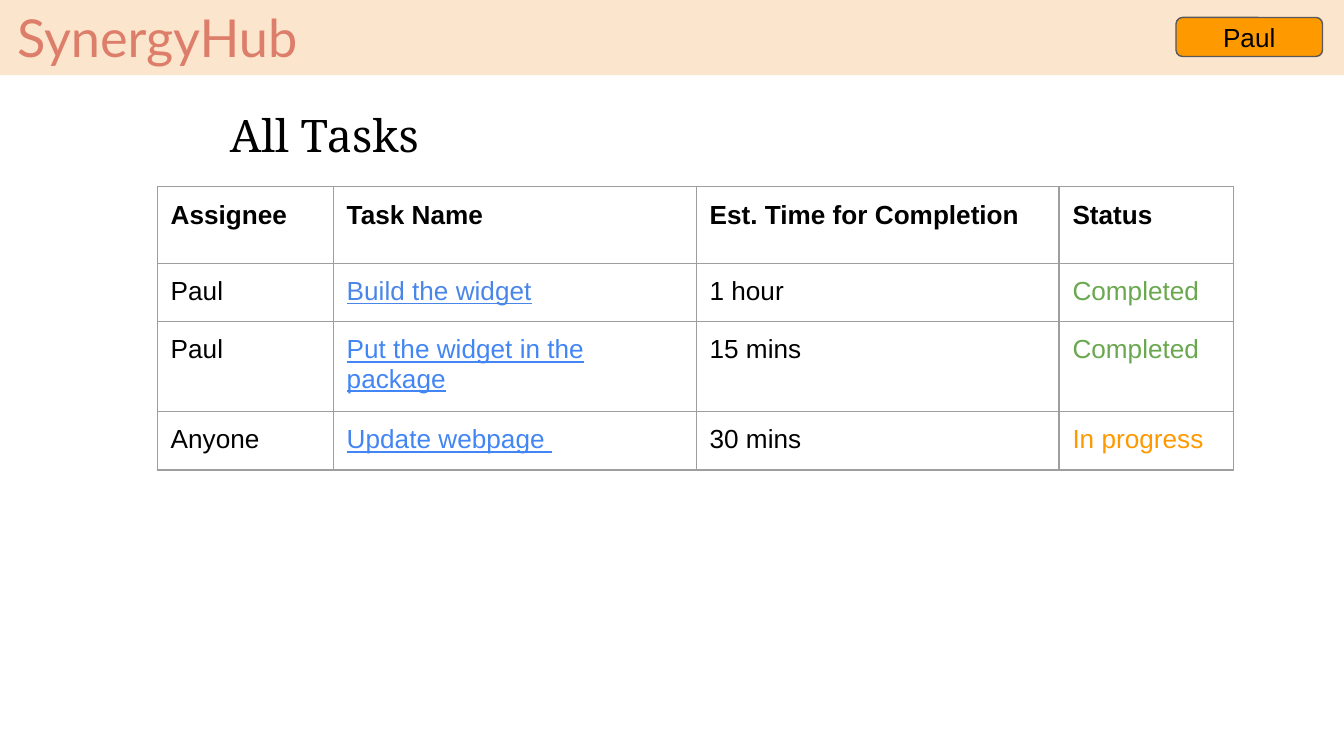
"""Build the All Tasks slide with a banner, a user button and a task table."""
from lxml.etree import SubElement
from pptx import Presentation
from pptx.dml.color import RGBColor
from pptx.enum.shapes import MSO_SHAPE
from pptx.enum.text import MSO_ANCHOR, PP_ALIGN
from pptx.oxml import parse_xml
from pptx.oxml.ns import nsdecls, qn
from pptx.util import Inches, Pt

BRAND, USER, TITLE = "SynergyHub", "Paul", "All Tasks"
HEADS = ["Assignee", "Task Name", "Est. Time for Completion", "Status"]
TASKS = [
    ("Paul", "Build the widget", "1 hour", "Completed"),
    ("Paul", "Put the widget in the package", "15 mins", "Completed"),
    ("Anyone", "Update webpage ", "30 mins", "In progress"),
]
COLS = [1.31, 2.7, 2.7, 1.3]
ROWS = [0.57, 0.43, 0.67, 0.43]

THEME = {
    "sans": "Arial", "logo": "Lato", "serif": "Noto Serif",
    "body": 14, "head": 24, "brand": 28,
    "ink": "000000", "banner": "FCE5CD", "coral": "DD7E6B",
    "button": "FF9900", "edge": "595959", "grid": "9E9E9E",
    "links": ["4A86E8", "4285F4", "4285F4"],
    "status": {"Completed": "6AA84F", "In progress": "FF9900"},
}


def write(frame, text, font="sans", size="body", color=THEME["ink"], bold=False, under=False):
    """Put one styled line of text in a frame."""
    frame.text = text
    face = frame.paragraphs[0].runs[0].font
    face.name, face.size = THEME[font], Pt(THEME[size])
    face.bold, face.underline = bold, under
    face.color.rgb = RGBColor.from_string(color)


def pad(item):
    """Give a frame or cell equal insets."""
    item.margin_left = item.margin_right = Inches(0.1)
    item.margin_top = item.margin_bottom = Inches(0.1)


def add_box(slide, kind, place, fill):
    """Add a filled shape without a line or shadow."""
    box = slide.shapes.add_shape(kind, *map(Inches, place))
    box.shadow.inherit = False
    box.fill.solid()
    box.fill.fore_color.rgb = RGBColor.from_string(fill)
    box.line.fill.background()
    return box


def add_edges(cell):
    """Draw thin lines on all four sides of a cell."""
    props = cell._tc.get_or_add_tcPr()
    for spot, side in enumerate(("lnL", "lnR", "lnT", "lnB")):
        line = parse_xml(f'<a:{side} {nsdecls("a")} w="{Pt(0.75)}"/>')
        fill = SubElement(line, qn("a:solidFill"))
        SubElement(fill, qn("a:srgbClr"), val=THEME["grid"])
        props.insert(spot, line)


def add_banner(slide):
    """Add the top band with the brand name and the user button."""
    add_box(slide, MSO_SHAPE.RECTANGLE, (0, 0, 10, 0.56), THEME["banner"])
    brand = slide.shapes.add_textbox(*map(Inches, (0.03, -0.06, 5.03, 0.67)))
    brand.text_frame.word_wrap = True
    pad(brand.text_frame)
    write(brand.text_frame, BRAND, "logo", "brand", THEME["coral"])

    user = add_box(slide, MSO_SHAPE.ROUNDED_RECTANGLE, (8.75, 0.13, 1.09, 0.29), THEME["button"])
    user.line.color.rgb = RGBColor.from_string(THEME["edge"])
    user.line.width = Pt(0.75)
    pad(user.text_frame)
    write(user.text_frame, USER)
    user.text_frame.vertical_anchor = MSO_ANCHOR.MIDDLE
    user.text_frame.paragraphs[0].alignment = PP_ALIGN.CENTER


def add_title(slide):
    """Place the slide title above the table."""
    title = slide.shapes.title
    title.left, title.top, title.width, title.height = map(Inches, (1.61, 0.7, 1.69, 0.61))
    frame = title.text_frame
    pad(frame)
    write(frame, TITLE, "serif", "head")
    frame.word_wrap = True
    frame.vertical_anchor = MSO_ANCHOR.TOP
    frame.paragraphs[0].alignment = PP_ALIGN.LEFT


def add_tasks(slide):
    """Add the task table."""
    place = map(Inches, (1.17, 1.39, sum(COLS), sum(ROWS)))
    table = slide.shapes.add_table(len(ROWS), len(COLS), *place).table
    table.first_row = table.horz_banding = False
    for col, width in zip(table.columns, COLS):
        col.width = Inches(width)
    for row, height in zip(table.rows, ROWS):
        row.height = Inches(height)
    for r, line in enumerate([HEADS, *TASKS]):
        for c, text in enumerate(line):
            cell = table.cell(r, c)
            link = r > 0 and c == 1
            color = THEME["links"][r - 1] if link else THEME["status"].get(text, THEME["ink"])
            pad(cell)
            cell.fill.background()
            add_edges(cell)
            write(cell.text_frame, text, color=color, bold=r == 0, under=link)


def main():
    """Build and save the slide."""
    deck = Presentation()
    deck.slide_width = Inches(10)
    deck.slide_height = deck.slide_width * 9 // 16
    slide = deck.slides.add_slide(deck.slide_layouts[5])
    add_banner(slide)
    add_title(slide)
    add_tasks(slide)
    deck.save("out.pptx")


if __name__ == "__main__":
    main()
